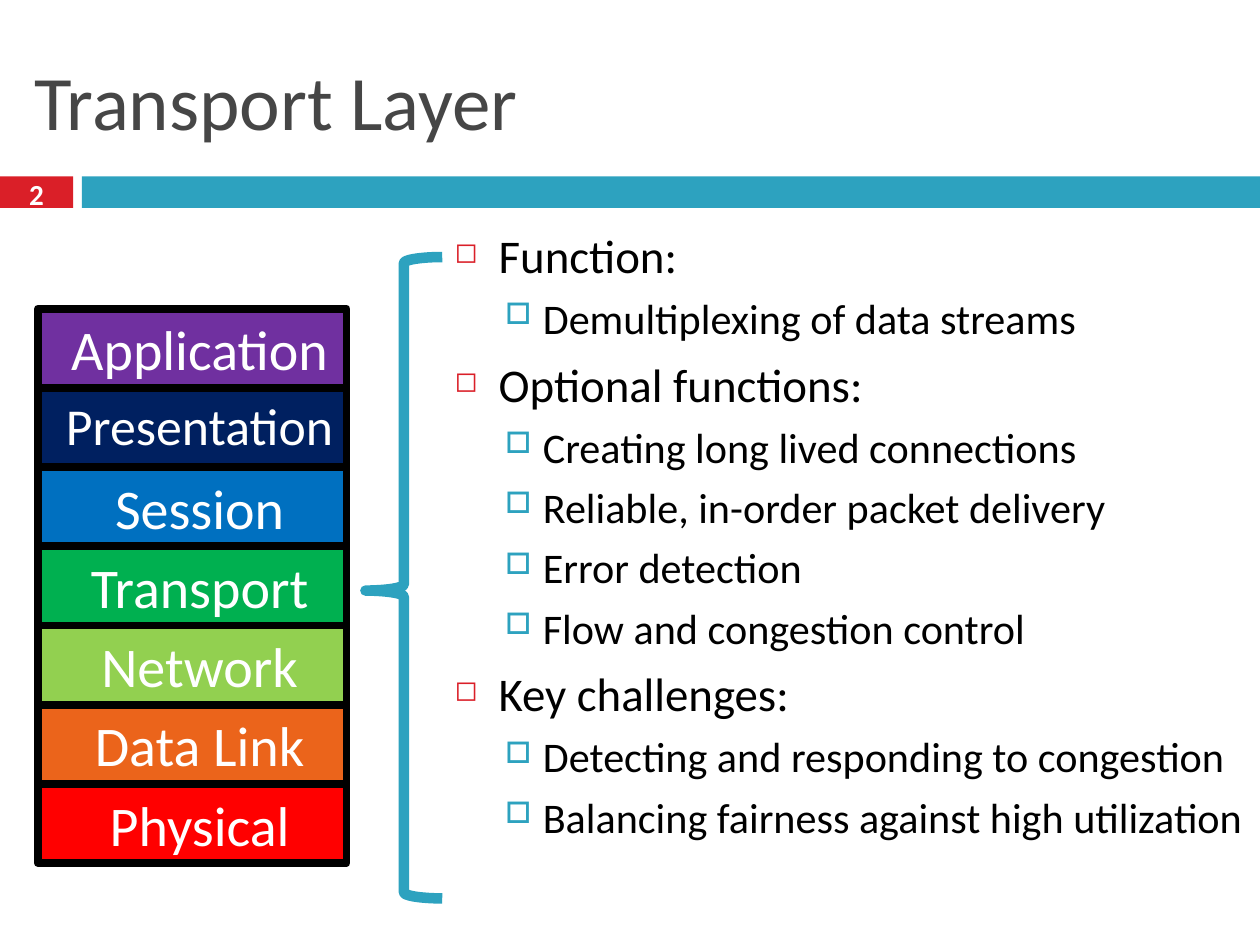
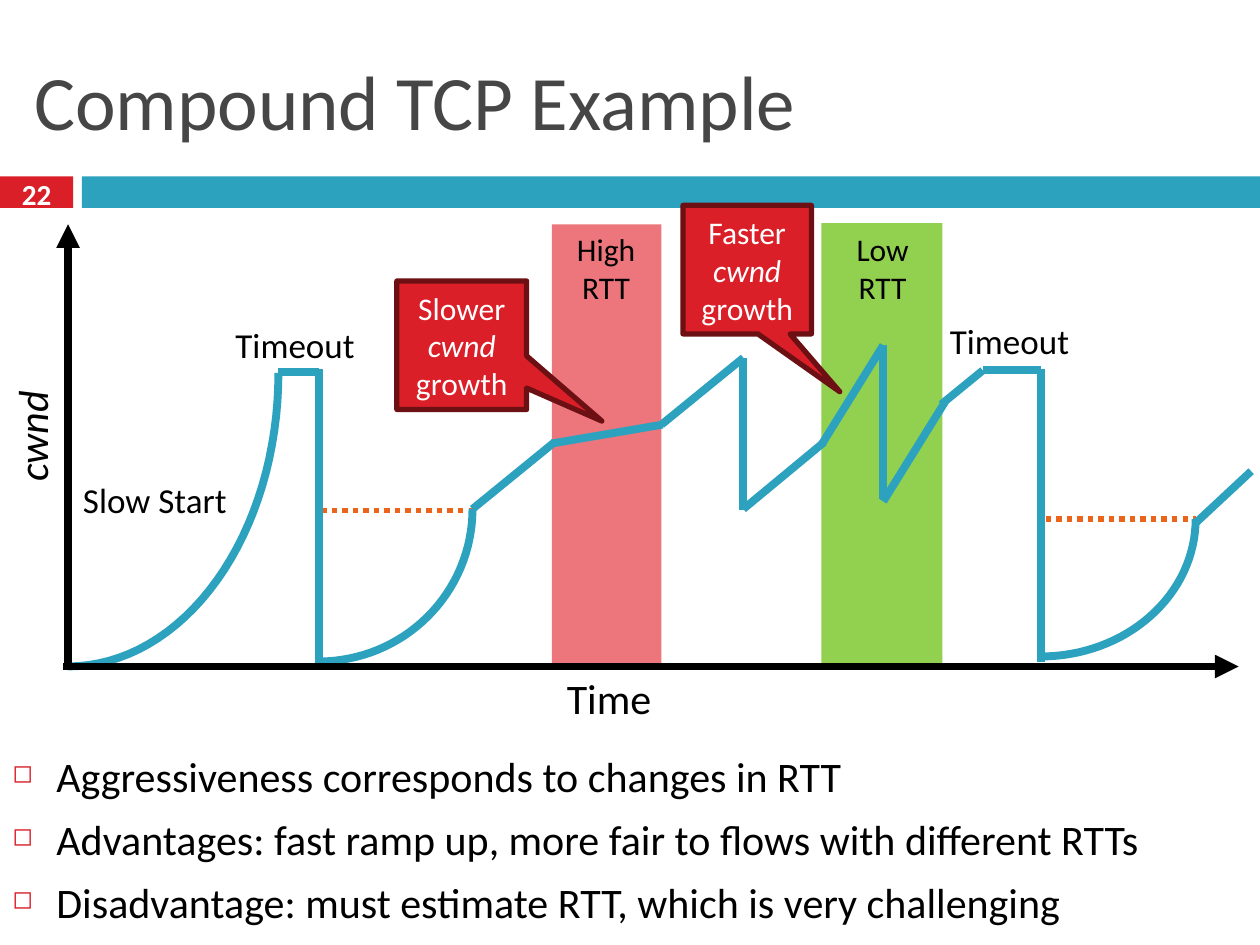
from math import cos, pi, sin

from lxml import etree
from pptx import Presentation
from pptx.dml.color import RGBColor
from pptx.enum.dml import MSO_LINE
from pptx.enum.shapes import MSO_CONNECTOR, MSO_SHAPE
from pptx.enum.text import MSO_ANCHOR, MSO_AUTO_SIZE, PP_ALIGN
from pptx.oxml.ns import qn
from pptx.util import Inches, Pt

RECTANGLE = MSO_SHAPE.RECTANGLE
CALLOUT = MSO_SHAPE.RECTANGULAR_CALLOUT
LEFT_BRACE = MSO_SHAPE.LEFT_BRACE
STRAIGHT = MSO_CONNECTOR.STRAIGHT
DOTTED = MSO_LINE.ROUND_DOT
LEFT, CENTER = PP_ALIGN.LEFT, PP_ALIGN.CENTER
TOP, MIDDLE = MSO_ANCHOR.TOP, MSO_ANCHOR.MIDDLE
GROW, FIXED = MSO_AUTO_SIZE.SHAPE_TO_FIT_TEXT, MSO_AUTO_SIZE.NONE

FONT = "Calibri"
COLORS = {
    "red": "DA1F28", "teal": "2DA2BF", "title": "464646", "black": "000000",
    "white": "FFFFFF", "orange": "EB641B", "green": "92D050", "pink": "EC767C",
    "maroon": "6D1014", "purple": "7030A0", "navy": "002060", "blue": "0070C0",
    "emerald": "00B050", "bright red": "FF0000",
}
BULLETS = [
    {"mark": "◻", "color": "red", "scale": 60, "left": 0.35, "hang": 0.35, "before": 7},
    {"mark": "□", "color": "teal", "scale": 70, "left": 0.7, "hang": 0.3, "before": 5.5},
]
LAYERS = [
    ("Application", "purple", 32), ("Presentation", "navy", 29.6),
    ("Session", "blue", 32), ("Transport", "emerald", 32),
    ("Network", "green", 32), ("Data Link", "orange", 32),
    ("Physical", "bright red", 32),
]
TRANSPORT_POINTS = [
    (0, "Function:"),
    (1, "Demultiplexing of data streams"),
    (0, "Optional functions:"),
    (1, "Creating long lived connections"),
    (1, "Reliable, in-order packet delivery"),
    (1, "Error detection"),
    (1, "Flow and congestion control"),
    (0, "Key challenges:"),
    (1, "Detecting and responding to congestion"),
    (1, "Balancing fairness against high utilization"),
]
COMPOUND_POINTS = [
    (0, "Aggressiveness corresponds to changes in RTT"),
    (0, "Advantages: fast ramp up, more fair to flows with different RTTs"),
    (0, "Disadvantage: must estimate RTT, which is very challenging"),
]
SLOW_STARTS = [
    (0.54, 2.96, 1.67, 2.33), (2.53, 4.04, 1.22, 1.21), (8.26, 4.12, 1.23, 1.09),
]
WINDOW_SEGMENTS = [
    (2.21, 2.95, 2.53, 2.95), (2.53, 2.93, 2.53, 5.26), (3.75, 4.04, 4.4, 3.51),
    (4.38, 3.52, 5.26, 3.37), (5.25, 3.37, 5.9, 2.84), (5.9, 2.84, 5.9, 4.05),
    (5.9, 4.04, 6.54, 3.51), (6.52, 3.53, 7.01, 2.74), (7.01, 2.74, 7.01, 3.96),
    (7.01, 3.98, 7.5, 3.19), (7.47, 3.21, 7.8, 2.94), (7.8, 2.94, 8.26, 2.94),
    (8.26, 2.93, 8.26, 5.25), (9.49, 4.15, 9.93, 3.74),
]


def rgb(name):
    return RGBColor.from_string(COLORS[name])


def inches(*lengths):
    return [Inches(length) for length in lengths]


def add_span(para, text, size, color="black", bold=False, italic=False):
    span = para.add_run()
    span.text = text
    span.font.name = FONT
    span.font.size = Pt(size)
    span.font.bold = bold
    span.font.italic = italic
    span.font.color.rgb = rgb(color)


def style_line(line, color, width):
    line.color.rgb = rgb(color)
    line.width = Pt(width)


def add_box(page, kind, place, fill=None, line=None, width=4.5, adjust=()):
    box = page.shapes.add_shape(kind, *inches(*place))
    box.shadow.inherit = False
    if fill:
        box.fill.solid()
        box.fill.fore_color.rgb = rgb(fill)
    else:
        box.fill.background()
    if line:
        style_line(box.line, line, width)
    else:
        box.line.fill.background()
    for index, value in enumerate(adjust):
        box.adjustments[index] = value
    return box


def add_label(page, place, lines, size, align=LEFT, italic=False):
    box = page.shapes.add_textbox(*inches(*place))
    frame = box.text_frame
    frame.word_wrap = False
    frame.auto_size = GROW
    for index, text in enumerate(lines):
        para = frame.add_paragraph() if index else frame.paragraphs[0]
        para.alignment = align
        add_span(para, text, size, italic=italic)
    return box


def add_bullet(para, level):
    style = BULLETS[level]
    para.level = level
    para.space_before = Pt(style["before"])
    properties = para._p.get_or_add_pPr()
    properties.set("marL", str(Inches(style["left"])))
    properties.set("indent", str(-Inches(style["hang"])))
    color = etree.SubElement(properties, qn("a:buClr"))
    etree.SubElement(color, qn("a:srgbClr"), val=COLORS[style["color"]])
    etree.SubElement(properties, qn("a:buSzPct"), val=str(style["scale"] * 1000))
    etree.SubElement(properties, qn("a:buChar"), char=style["mark"])


def add_bullet_list(page, place, points, sizes):
    frame = page.shapes.add_textbox(*inches(*place)).text_frame
    frame.word_wrap = True
    for index, (level, text) in enumerate(points):
        para = frame.add_paragraph() if index else frame.paragraphs[0]
        add_bullet(para, level)
        add_span(para, text, sizes[level])


def add_line(page, ends, color="teal", width=4.5, dash=None, arrow=False):
    line = page.shapes.add_connector(STRAIGHT, *inches(*ends))
    style_line(line.line, color, width)
    if dash:
        line.line.dash_style = dash
    properties = line.element.spPr
    if arrow:
        etree.SubElement(properties.find(qn("a:ln")), qn("a:tailEnd"), type="triangle")
    etree.SubElement(properties, qn("a:effectLst"))


def add_slow_start(page, left, top, width, height, steps=32):
    angles = [pi / 2 * step / steps for step in range(steps + 1)]
    points = [inches(left + width * cos(angle), top + height * sin(angle))
              for angle in angles]
    builder = page.shapes.build_freeform(*points[0])
    builder.add_line_segments(points[1:], close=False)
    curve = builder.convert_to_shape()
    curve.shadow.inherit = False
    curve.fill.background()
    style_line(curve.line, "teal", 4.5)


def add_rtt_zone(page, place, fill, label_place, level):
    add_box(page, RECTANGLE, place, fill)
    add_label(page, label_place, [level, "RTT"], 18, CENTER)


def add_growth_callout(page, place, pace, tip):
    box = add_box(page, CALLOUT, place, "red", "maroon", 3, tip)
    frame = box.text_frame
    frame.word_wrap = True
    frame.vertical_anchor = MIDDLE
    para = frame.paragraphs[0]
    para.alignment = CENTER
    add_span(para, pace + " ", 18, "white")
    add_span(para, "cwnd", 18, "white", italic=True)
    add_span(para, " growth", 18, "white")


def add_layer(page, place, name, fill, size):
    box = add_box(page, RECTANGLE, place, fill, "black")
    frame = box.text_frame
    frame.word_wrap = True
    frame.vertical_anchor = TOP
    para = frame.paragraphs[0]
    para.alignment = CENTER
    para._p.get_or_add_pPr().set("marL", str(Inches(0.12)))
    add_span(para, name, size, "white")


def add_page(deck, title, number):
    page = deck.slides.add_slide(deck.slide_layouts[5])
    heading = page.shapes.title
    heading.left, heading.top, heading.width, heading.height = inches(0.17, 0.25, 9.67, 1.08)
    frame = heading.text_frame
    frame.auto_size = FIXED
    frame.vertical_anchor = MIDDLE
    frame.paragraphs[0].alignment = LEFT
    add_span(frame.paragraphs[0], title, 44, "title")
    add_box(page, RECTANGLE, (0, 1.4, 0.58, 0.25), "red")
    add_box(page, RECTANGLE, (0.65, 1.4, 9.35, 0.25), "teal")
    frame = page.shapes.add_textbox(*inches(0, 1.37, 0.58, 0.33)).text_frame
    frame.word_wrap = True
    frame.vertical_anchor = MIDDLE
    frame.paragraphs[0].alignment = CENTER
    add_span(frame.paragraphs[0], str(number), 16.6, "white", bold=True)
    return page


def build_transport_layer(deck):
    page = add_page(deck, "Transport Layer", 2)
    add_bullet_list(page, (3.51, 1.75, 6.49, 5.58), TRANSPORT_POINTS, (26.8, 24.1))
    stack_top, stack_height = 2.45, 4.4
    height = stack_height / len(LAYERS)
    for index, (name, fill, size) in enumerate(LAYERS):
        add_layer(page, (0.3, stack_top + index * height, 2.45, height), name, fill, size)
    add_box(page, LEFT_BRACE, (2.9, 2.04, 0.61, 5.09), line="teal", width=6,
            adjust=(0.08, 0.52))


def build_compound_example(deck):
    page = add_page(deck, "Compound TCP Example", 22)
    add_rtt_zone(page, (6.52, 1.77, 0.96, 3.51), "green", (6.66, 1.78, 0.69, 0.71), "Low")
    add_rtt_zone(page, (4.38, 1.78, 0.87, 3.51), "pink", (4.45, 1.78, 0.72, 0.71), "High")
    for threshold in ((2.55, 4.05, 3.76, 4.05), (8.3, 4.12, 9.49, 4.12)):
        add_line(page, threshold, "orange", 3, DOTTED)
    add_bullet_list(page, (0, 5.91, 10, 1.59), COMPOUND_POINTS, (24,))
    add_label(page, (4.4, 5.29, 0.94, 0.51), ["Time"], 24)
    add_label(page, (-0.24, 3.17, 0.99, 0.51), ["cwnd"], 24, italic=True).rotation = 270
    add_label(page, (1.77, 2.52, 1.21, 0.44), ["Timeout"], 20)
    add_label(page, (7.44, 2.49, 1.21, 0.44), ["Timeout"], 20)
    add_label(page, (0.56, 3.75, 1.48, 0.44), ["Slow Start"], 20)
    for slow_start in SLOW_STARTS:
        add_slow_start(page, *slow_start)
    for segment in WINDOW_SEGMENTS:
        add_line(page, segment)
    for axis in ((0.54, 5.29, 0.54, 1.78), (0.5, 5.29, 9.83, 5.29)):
        add_line(page, axis, "black", arrow=True)
    add_growth_callout(page, (3.15, 2.23, 1.03, 1.02), "Slower", (1.08, 0.59))
    add_growth_callout(page, (5.42, 1.63, 1.02, 1.02), "Faster", (0.72, 0.95))


def main():
    deck = Presentation()
    deck.slide_width, deck.slide_height = inches(10, 7.5)
    build_transport_layer(deck)
    build_compound_example(deck)
    deck.save("out.pptx")


if __name__ == "__main__":
    main()
